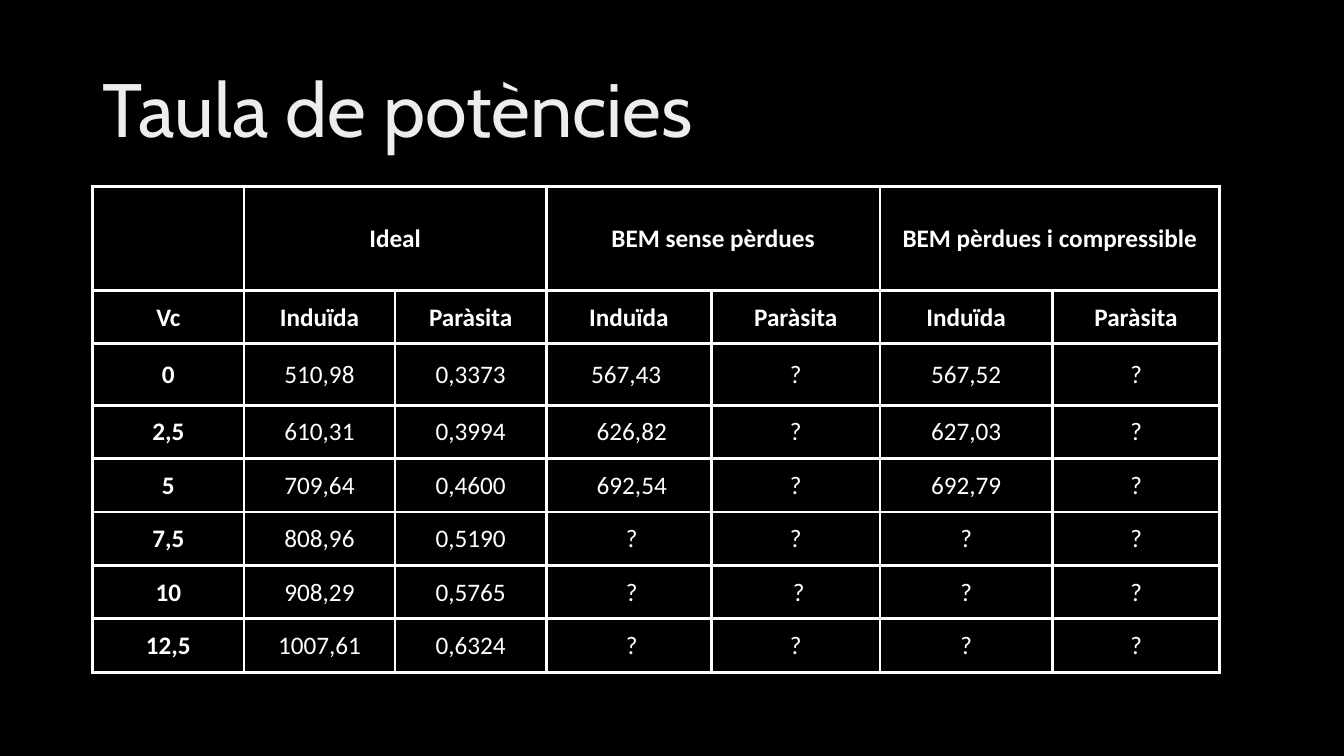
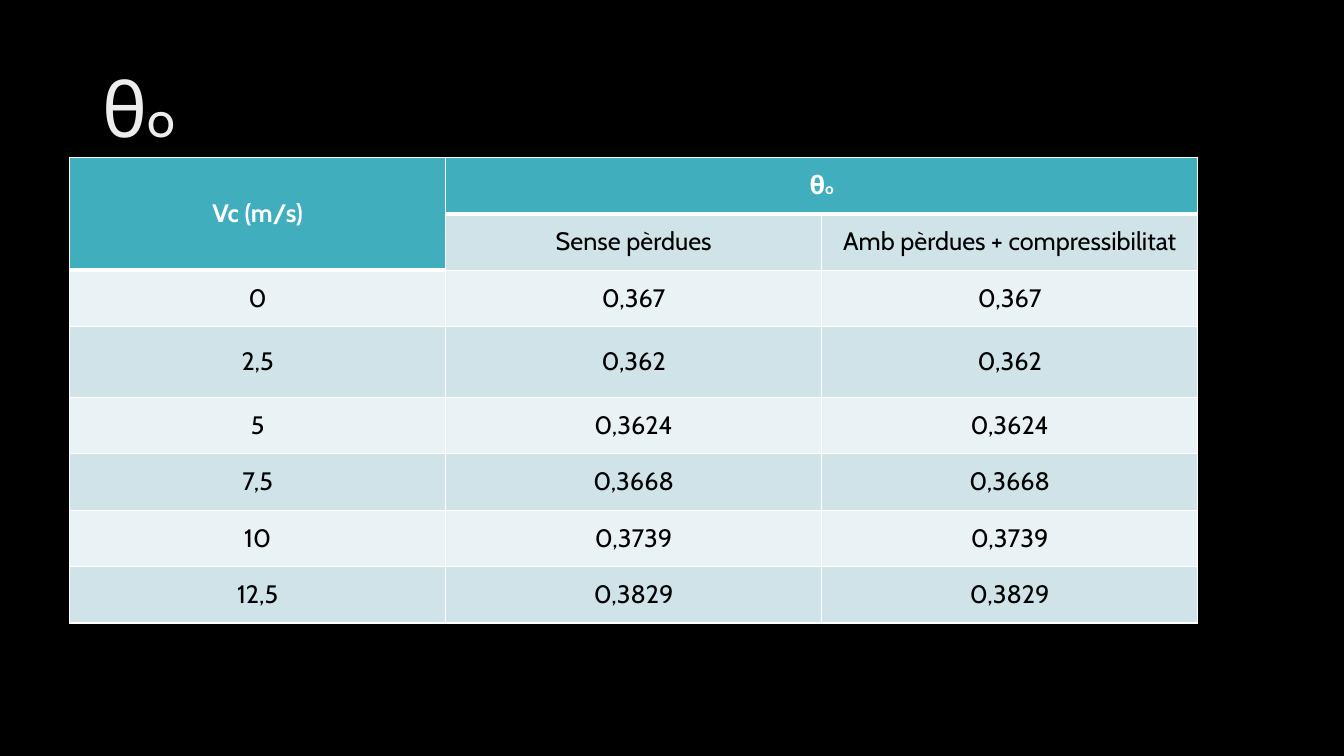
"""Build two slides with tables of helicopter power and collective pitch."""
from lxml import etree
from pptx import Presentation
from pptx.dml.color import RGBColor
from pptx.enum.text import MSO_ANCHOR, PP_ALIGN
from pptx.oxml.ns import qn
from pptx.util import Inches, Pt

LEFT, CENTER = PP_ALIGN.LEFT, PP_ALIGN.CENTER
MIDDLE = MSO_ANCHOR.MIDDLE

BLACK = RGBColor(0x00, 0x00, 0x00)
WHITE = RGBColor(0xFF, 0xFF, 0xFF)
SILVER = RGBColor(0xED, 0xED, 0xED)
TEAL = RGBColor(0x41, 0xAE, 0xBD)
MIST = RGBColor(0xCF, 0xE3, 0xE8)
PALE = RGBColor(0xE9, 0xF2, 0xF4)

WIDTH, HEIGHT = Inches(13.33), Inches(7.5)
ACROSS, DOWN = WIDTH / 100, HEIGHT / 100
TITLE_BOX = (6.9, 5.33, 86.27, 19.33)

POWER_ROWS = [
    ["", "Ideal", "", "BEM sense pèrdues", "", "BEM pèrdues i compressible", ""],
    ["Vc"] + ["Induïda", "Paràsita"] * 3,
    ["0", "510,98", "0,3373", "567,43 ", "?", "567,52", "?"],
    ["2,5", "610,31", "0,3994", " 626,82", "?", "627,03", "?"],
    ["5", "709,64", "0,4600", " 692,54", "?", "692,79", "?"],
    ["7,5", "808,96", "0,5190", " ?", "?", "?", "?"],
    ["10", "908,29", "0,5765", " ?", " ?", "?", "?"],
    ["12,5", "1007,61", "0,6324", " ?", "?", "?", "?"],
]
PITCHES = {"0": "0,367", "2,5": "0,362", "5": "0,3624",
           "7,5": "0,3668", "10": "0,3739", "12,5": "0,3829"}
PITCH_ROWS = [
    ["Vc (m/s)", [("θ", 18), ("o", 11)], ""],
    ["", "Sense pèrdues", "Amb pèrdues + compressibilitat"],
] + [[speed, pitch, pitch] for speed, pitch in PITCHES.items()]

SLIDES = [
    {
        "title": [("Taula de potències", 54)],
        "rows": POWER_ROWS,
        "corner": (6.9, 24.67),
        "columns": [11.25, 11.25, 11.25, 12.3, 12.53, 12.83, 12.45],
        "heights": [13.73, 7.07, 8.13] + [7.07] * 5,
        "merges": [(0, 1, 0, 2), (0, 3, 0, 4), (0, 5, 0, 6)],
        "headers": {(row, column) for row in range(8) for column in range(7)
                    if row < 2 or column == 0},
        "header_fill": None,
        "bands": [None, None],
        "ink": WHITE,
        "font": "Calibri",
        "margins": {"margin_left": Inches(0.01), "margin_right": Inches(0.01),
                    "margin_top": Inches(0.01), "margin_bottom": 0},
        "line": 2.25,
        "header_line": 2.25,
    },
    {
        "title": [("θ", 54), ("o", 36)],
        "rows": PITCH_ROWS,
        "corner": (5.18, 20.8),
        "columns": [27.98] * 3,
        "heights": [7.47] * 3 + [9.33] + [7.47] * 4,
        "merges": [(0, 0, 1, 0), (0, 1, 0, 2)],
        "headers": {(0, 0), (1, 0), (0, 1), (0, 2)},
        "header_fill": TEAL,
        "bands": [PALE, MIST],
        "ink": BLACK,
        "font": "Cabin",
        "margins": {},
        "line": 1,
        "header_line": 3,
    },
]


def write_runs(frame, runs, color, align, look):
    """Fill the first paragraph with (text, size) runs."""
    para = frame.paragraphs[0]
    para.alignment = align
    for text, size in runs:
        span = para.add_run()
        span.text = text
        span.font.color.rgb = color
        for name, value in {**look, "size": Pt(size)}.items():
            setattr(span.font, name, value)
    return para


def draw_borders(cell, widths):
    """Add a white line on each named side of a cell."""
    properties = cell._tc.get_or_add_tcPr()
    for side, points in widths.items():
        line = etree.SubElement(properties, qn(f"a:ln{side}"), w=str(Pt(points)))
        fill = etree.SubElement(line, qn("a:solidFill"))
        etree.SubElement(fill, qn("a:srgbClr"), val=str(WHITE))


deck = Presentation()
deck.slide_width, deck.slide_height = WIDTH, HEIGHT
backdrop = deck.slide_master.background.fill
backdrop.solid()
backdrop.fore_color.rgb = BLACK

for content in SLIDES:
    page = deck.slides.add_slide(deck.slide_layouts[6])
    left, top, width, height = TITLE_BOX
    box = page.shapes.add_textbox(round(left * ACROSS), round(top * DOWN),
                                  round(width * ACROSS), round(height * DOWN))
    box.text_frame.word_wrap = True
    box.text_frame.vertical_anchor = MIDDLE
    title = write_runs(box.text_frame, content["title"], SILVER, LEFT, {"name": "Cabin"})
    title.line_spacing = 0.9

    rows, columns, heights = content["rows"], content["columns"], content["heights"]
    left, top = content["corner"]
    table = page.shapes.add_table(
        len(rows), len(columns), round(left * ACROSS), round(top * DOWN),
        round(sum(columns) * ACROSS), round(sum(heights) * DOWN)).table
    table.first_row = table.horz_banding = False
    for column, share in zip(table.columns, columns):
        column.width = round(share * ACROSS)
    for row, share in zip(table.rows, heights):
        row.height = round(share * DOWN)
    for first_row, first_column, last_row, last_column in content["merges"]:
        table.cell(first_row, first_column).merge(table.cell(last_row, last_column))

    for row_index, row in enumerate(rows):
        for column_index, entry in enumerate(row):
            cell = table.cell(row_index, column_index)
            is_header = (row_index, column_index) in content["headers"]
            line = content["line"]
            widths = {"L": line} if column_index == 0 else {}
            widths["R"] = line
            if row_index == 0:
                widths["T"] = line
            widths["B"] = content["header_line"] if is_header else line
            draw_borders(cell, widths)

            fill = content["header_fill"] if is_header else content["bands"][row_index % 2]
            if fill is None:
                cell.fill.background()
            else:
                cell.fill.solid()
                cell.fill.fore_color.rgb = fill

            for name, value in {**content["margins"], "vertical_anchor": MIDDLE}.items():
                setattr(cell, name, value)
            if entry:
                runs = [(entry, 18)] if isinstance(entry, str) else entry
                write_runs(cell.text_frame, runs, WHITE if is_header else content["ink"],
                           CENTER, {"name": content["font"], "bold": is_header})

deck.save("out.pptx")
